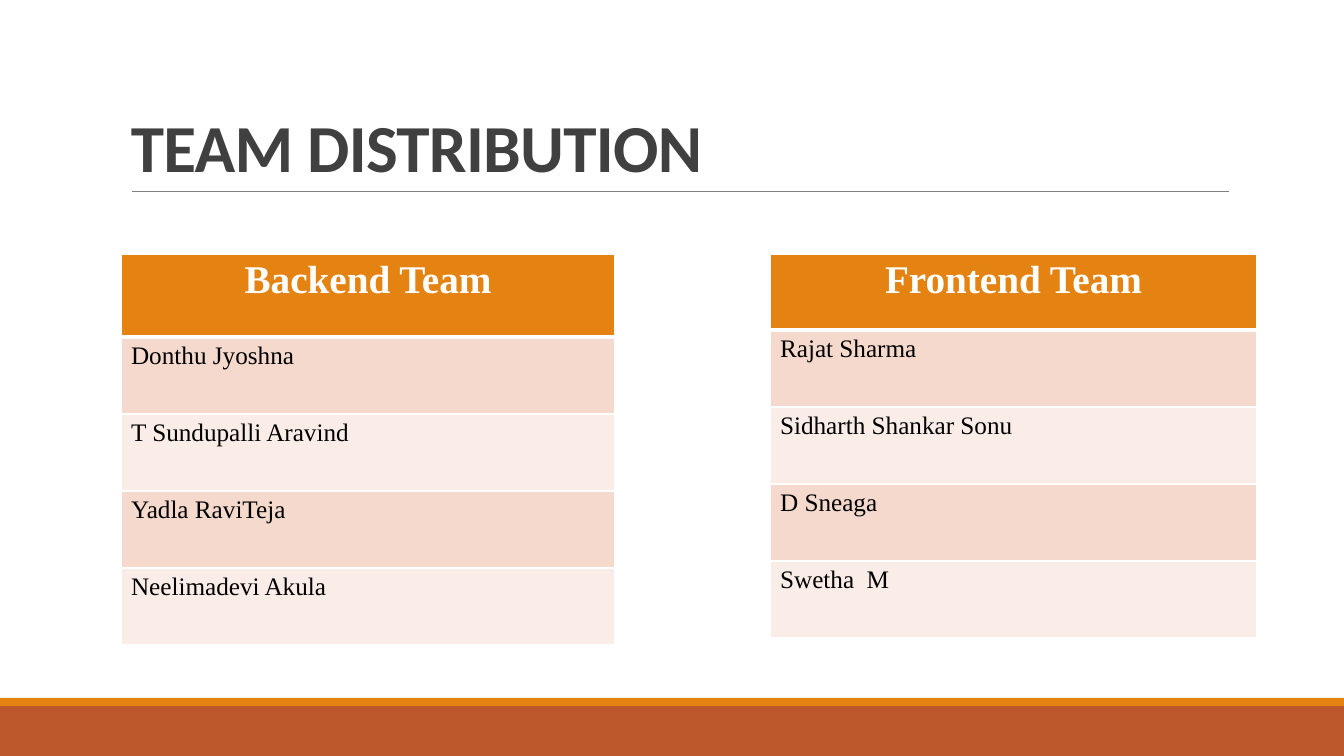
from dataclasses import dataclass

from lxml.etree import SubElement
from pptx import Presentation
from pptx.dml.color import RGBColor
from pptx.enum.shapes import MSO_CONNECTOR as Line, MSO_SHAPE as Shape
from pptx.enum.text import MSO_ANCHOR as Anchor, PP_ALIGN as Align
from pptx.oxml.ns import qn
from pptx.util import Pt

SCALE = 914400 / 100.8
WIDE, HIGH = 1344, 756


@dataclass(frozen=True)
class Theme:
    orange: str = "E48312"
    rust: str = "BD582C"
    rule: str = "808080"
    ink: str = "404040"
    black: str = "000000"
    white: str = "FFFFFF"
    bands: tuple = ("F5D9CC", "FAEDE7")
    sans: str = "Calibri"
    serif: str = "Times New Roman"
    title: int = 48
    head: int = 28
    body: int = 18


THEME = Theme()


def px(*sizes):
    return [round(size * SCALE) for size in sizes]


def color(code):
    return RGBColor.from_string(code)


def write(frame, text, *, size, face, ink, bold=False, align=Align.LEFT,
          track=None, lead=None, after=None):
    """Put one formatted paragraph in the frame; track is in points."""
    para = frame.paragraphs[0]
    para.alignment = align
    para.line_spacing = lead
    if after is not None:
        para.space_after = Pt(after)
    run = para.add_run()
    run.text = text
    font = run.font
    font.size, font.name, font.bold = Pt(size), face, bold
    font.color.rgb = color(ink)
    if track is not None:
        run._r.get_or_add_rPr().set("spc", str(round(track * 100)))


def add_bar(slide, box, fill):
    bar = slide.shapes.add_shape(Shape.RECTANGLE, *px(*box))
    bar.shadow.inherit = False
    bar.fill.solid()
    bar.fill.fore_color.rgb = color(fill)
    bar.line.fill.background()


def add_foot(slide, box):
    """Draw the footer band with a thin strip along its top."""
    left, top, width, height = box
    strip = 8
    add_bar(slide, (left, top + strip, width, height - strip), THEME.rust)
    add_bar(slide, (left, top, width, strip), THEME.orange)


def add_title(slide, box, text):
    """Set the title at the bottom of the box, with a rule below it."""
    left, top, width, height = box
    base = top + height
    rule = slide.shapes.add_connector(
        Line.STRAIGHT, *px(left + 11, base, left + width - 1, base))
    rule.line.color.rgb = color(THEME.rule)
    rule.line.width = Pt(0.5)
    SubElement(rule._element.spPr, qn("a:effectLst"))
    frame = slide.shapes.add_textbox(*px(*box)).text_frame
    frame.word_wrap = True
    frame.vertical_anchor = Anchor.BOTTOM
    write(frame, text, size=THEME.title, face=THEME.sans, ink=THEME.ink,
          bold=True, track=-0.5, lead=0.85, after=6)


def add_edge(cell, side, width):
    edge = SubElement(cell._tc.get_or_add_tcPr(), qn(f"a:ln{side}"),
                      w=str(Pt(width)))
    fill = SubElement(edge, qn("a:solidFill"))
    SubElement(fill, qn("a:srgbClr"), val=THEME.white)


def add_team(slide, box, head, names, row):
    """Draw a team table; the header takes the height the rows leave."""
    height = box[3]
    table = slide.shapes.add_table(len(names) + 1, 1, *px(*box)).table
    for index, text in enumerate([head, *names]):
        first = index == 0
        tall = height - row * len(names) if first else row
        table.rows[index].height = px(tall)[0]
        cell = table.cell(index, 0)
        for side in "LRTB":
            thick = (index, side) in ((0, "B"), (1, "T"))
            add_edge(cell, side, 3 if thick else 1)
        cell.fill.solid()
        fill = THEME.orange if first else THEME.bands[(index - 1) % 2]
        cell.fill.fore_color.rgb = color(fill)
        write(cell.text_frame, text, face=THEME.serif, bold=first,
              size=THEME.head if first else THEME.body,
              ink=THEME.white if first else THEME.black,
              align=Align.CENTER if first else Align.LEFT)


def main():
    deck = Presentation()
    deck.slide_width, deck.slide_height = px(WIDE, HIGH)
    slide = deck.slides.add_slide(deck.slide_layouts[6])
    add_foot(slide, (0, 698, WIDE, HIGH - 698))
    add_title(slide, (121, 31, 1109, 160), "TEAM DISTRIBUTION")
    add_team(slide, (121, 254, 494, 391), "Backend Team",
             ["Donthu Jyoshna", "T Sundupalli Aravind",
              "Yadla RaviTeja", "Neelimadevi Akula"], row=77)
    add_team(slide, (770, 254, 487, 384), "Frontend Team",
             ["Rajat Sharma", "Sidharth Shankar Sonu",
              "D Sneaga", "Swetha  M"], row=77)
    deck.save("out.pptx")


if __name__ == "__main__":
    main()
